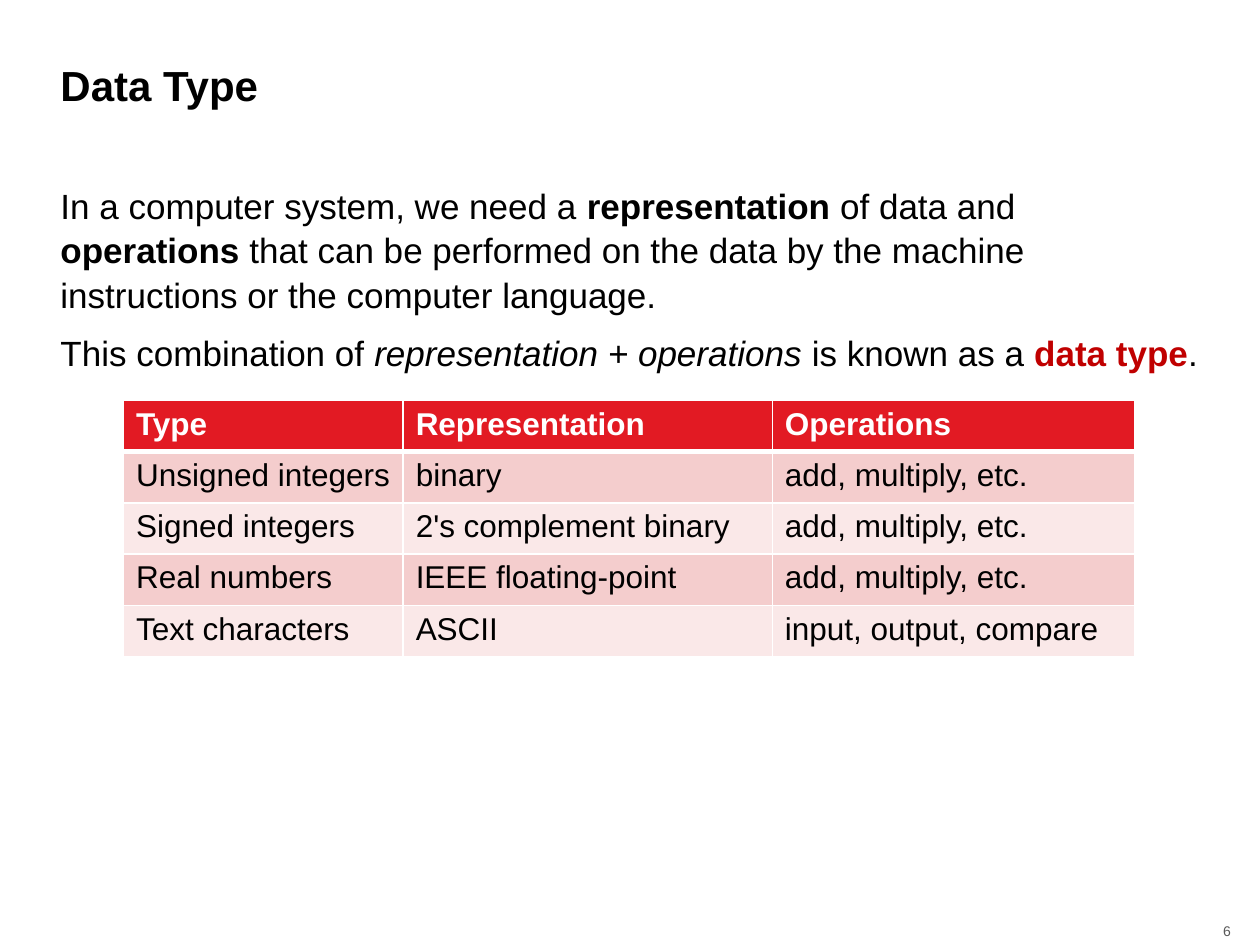
from pptx import Presentation
from pptx.dml.color import RGBColor
from pptx.enum.text import MSO_ANCHOR, MSO_AUTO_SIZE, PP_ALIGN
from pptx.oxml.ns import qn
from pptx.util import Inches, Pt
from lxml import etree

LEFT, RIGHT = PP_ALIGN.LEFT, PP_ALIGN.RIGHT
TOP, MIDDLE = MSO_ANCHOR.TOP, MSO_ANCHOR.MIDDLE
NO_FIT = MSO_AUTO_SIZE.NONE

BLACK = RGBColor(0x00, 0x00, 0x00)
WHITE = RGBColor(0xFF, 0xFF, 0xFF)
GREY = RGBColor(0x59, 0x59, 0x59)
KEYWORD_RED = RGBColor(0xC0, 0x00, 0x00)
HEADER_RED = RGBColor(0xE2, 0x1A, 0x23)
ROW_FILLS = (RGBColor(0xF4, 0xCD, 0xCD), RGBColor(0xFA, 0xE8, 0xE8))

INTRO = [
    [("In a computer system, we need a ", ""), ("representation ", "bold"),
     ("of data and ", ""), ("operations ", "bold"),
     ("that can be performed on the data by the machine instructions "
      "or the computer language.", "")],
    [("This combination of ", ""), ("representation + operations", "italic"),
     (" is known as a ", ""), ("data type", "keyword"), (".", "")],
]
ARITHMETIC = "add, multiply, etc."
DATA_TYPES = [
    ("Type", "Representation", "Operations"),
    ("Unsigned integers", "binary", ARITHMETIC),
    ("Signed integers", "2's complement binary", ARITHMETIC),
    ("Real numbers", "IEEE floating-point", ARITHMETIC),
    ("Text characters", "ASCII", "input, output, compare"),
]


class Deck:
    font_name = "Arial"

    def __init__(self):
        self.presentation = Presentation()
        self.presentation.slide_width = Inches(10)
        self.presentation.slide_height = Inches(7.5)
        layout = self.presentation.slide_layouts[1]
        self.slide = self.presentation.slides.add_slide(layout)

    def style(self, paragraph, size, color, bold=False, align=LEFT):
        paragraph.alignment = align
        paragraph.font.name = self.font_name
        paragraph.font.size = Pt(size)
        paragraph.font.bold = bold
        paragraph.font.color.rgb = color

    def place(self, shape, left, top, width, height, anchor):
        shape.left, shape.top = Inches(left), Inches(top)
        shape.width, shape.height = Inches(width), Inches(height)
        frame = shape.text_frame
        frame.auto_size = NO_FIT
        frame.word_wrap = True
        frame.vertical_anchor = anchor
        return frame

    def title(self, text, *box):
        frame = self.place(self.slide.shapes.title, *box, MIDDLE)
        frame.text = text
        heading = frame.paragraphs[0]
        heading.line_spacing = 0.9
        self.style(heading, 24, BLACK, bold=True)

    def body(self, paragraphs, *box):
        frame = self.place(self.slide.placeholders[1], *box, TOP)
        for index, phrases in enumerate(paragraphs):
            paragraph = frame.add_paragraph() if index else frame.paragraphs[0]
            self.style(paragraph, 20, BLACK)
            paragraph.line_spacing = 1.05
            paragraph.space_before, paragraph.space_after = Pt(0), Pt(8)
            properties = paragraph._p.get_or_add_pPr()
            properties.set("marL", "0")
            properties.set("indent", "0")
            etree.SubElement(properties, qn("a:buNone"))
            properties.append(properties.find(qn("a:defRPr")))
            for text, emphasis in phrases:
                run = paragraph.add_run()
                run.text = text
                if emphasis in ("bold", "keyword"):
                    run.font.bold = True
                if emphasis == "italic":
                    run.font.italic = True
                if emphasis == "keyword":
                    run.font.color.rgb = KEYWORD_RED

    def border(self, cell, side, points):
        properties = cell._tc.get_or_add_tcPr()
        line = etree.SubElement(properties, qn(f"a:ln{side}"), w=str(Pt(points)))
        fill = etree.SubElement(line, qn("a:solidFill"))
        etree.SubElement(fill, qn("a:srgbClr"), val=str(WHITE))

    def table(self, rows, left, top, column_widths, height):
        table = self.slide.shapes.add_table(
            len(rows), len(column_widths), Inches(left), Inches(top),
            Inches(sum(column_widths)), Inches(height)).table
        for column, width in zip(table.columns, column_widths):
            column.width = Inches(width)
        for row, texts in enumerate(rows):
            header = row == 0
            for column, text in enumerate(texts):
                cell = table.cell(row, column)
                cell.text = text
                self.style(cell.text_frame.paragraphs[0], 18,
                           WHITE if header else BLACK, bold=header)
                for side in "LRTB":
                    under_header = (row, side) in ((0, "B"), (1, "T"))
                    self.border(cell, side, 3 if under_header else 1)
                cell.fill.solid()
                cell.fill.fore_color.rgb = (
                    HEADER_RED if header else ROW_FILLS[(row - 1) % 2])

    def page_number(self, number, *box):
        shape = self.slide.shapes.add_textbox(*map(Inches, box))
        frame = self.place(shape, *box, MIDDLE)
        frame.margin_left = frame.margin_right = Inches(0.05)
        frame.margin_top = frame.margin_bottom = Inches(0.05)
        frame.text = str(number)
        self.style(frame.paragraphs[0], 8, GREY, align=RIGHT)


def main():
    deck = Deck()
    deck.title("Data Type", 0.38, 0.33, 9.25, 0.74)
    deck.body(INTRO, 0.38, 1.4, 9.25, 1.64)
    deck.table(DATA_TYPES, 0.98, 3.18, (2.22, 2.93, 2.88), 2.03)
    deck.page_number(6, 9.43, 7.3, 0.39, 0.18)
    deck.presentation.save("out.pptx")


if __name__ == "__main__":
    main()
